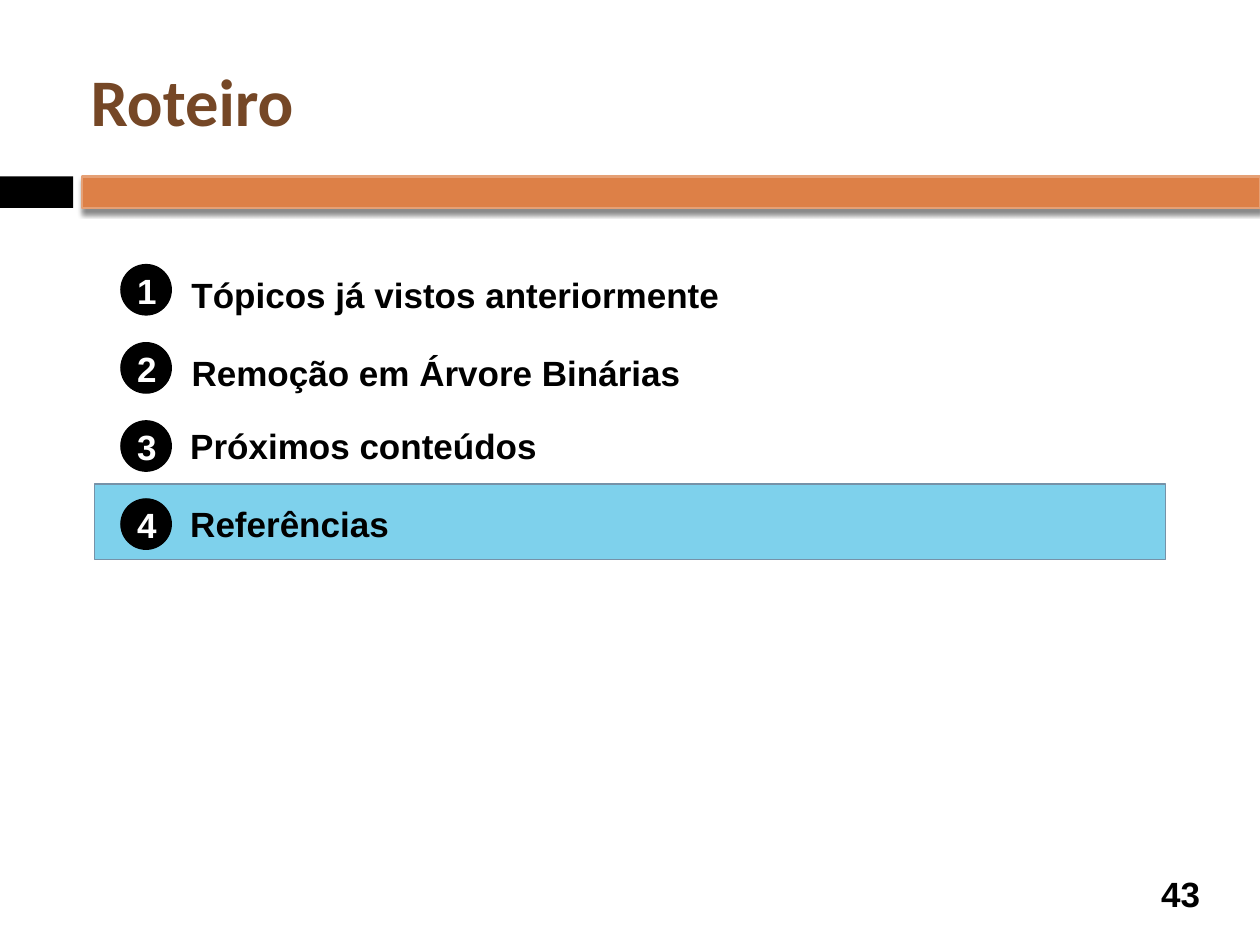
from lxml import etree
from pptx import Presentation
from pptx import util as u
from pptx.dml.color import RGBColor
from pptx.enum import shapes, text
from pptx.oxml import ns

Inches = u.Inches
COLORS = {
    "black": "000000",
    "white": "FFFFFF",
    "orange": "DD8047",
    "orange_edge": "E5A075",
    "brown": "754726",
    "highlight": "7ED1EC",
    "highlight_edge": "7692A8",
}
KIND = shapes.MSO_SHAPE
ALIGN = text.PP_ALIGN
ANCHOR = text.MSO_ANCHOR


def add_box(parent, kind, box, fill, line=None, width=0.75):
    shape = parent.add_shape(kind, *map(Inches, box))
    shape.shadow.inherit = False
    shape.fill.solid()
    shape.fill.fore_color.rgb = RGBColor.from_string(COLORS[fill])
    if line:
        shape.line.color.rgb = RGBColor.from_string(COLORS[line])
        shape.line.width = u.Pt(width)
    else:
        shape.line.fill.background()
    return shape


def add_label(parent, box, words, color="black", size=20, font="Arial",
              align=ALIGN.LEFT, anchor=ANCHOR.MIDDLE, wrap=False):
    label = parent.add_textbox(*map(Inches, box))
    frame = label.text_frame
    frame.word_wrap = wrap
    frame.vertical_anchor = anchor
    frame.margin_left = frame.margin_right = Inches(0.05)
    frame.margin_top = frame.margin_bottom = Inches(0.05)
    paragraph = frame.paragraphs[0]
    paragraph.alignment = align
    run = paragraph.add_run()
    run.text = words
    run.font.name = font
    run.font.size = u.Pt(size)
    run.font.bold = True
    run.font.color.rgb = RGBColor.from_string(COLORS[color])


presentation = Presentation()
presentation.slide_width = Inches(10)
presentation.slide_height = Inches(7.5)
slide = presentation.slides.add_slide(presentation.slide_layouts[6])

add_box(slide.shapes, KIND.RECTANGLE, (0, 1.4, 0.58, 0.25), "black")
banner = add_box(slide.shapes, KIND.RECTANGLE, (0.65, 1.4, 9.35, 0.25),
                 "orange", "orange_edge", 1.5)
effects = banner._element.spPr.find(ns.qn("a:effectLst"))
shadow = etree.SubElement(effects, ns.qn("a:outerShdw"), blurRad=str(u.Pt(3)),
                          dist=str(u.Pt(2.4)), dir="5400000", rotWithShape="0")
shade = etree.SubElement(shadow, ns.qn("a:srgbClr"), val=COLORS["black"])
etree.SubElement(shade, ns.qn("a:alpha"), val="45000")

add_label(slide.shapes, (9.08, 6.89, 0.58, 0.41), "43", align=ALIGN.CENTER, wrap=True)
add_label(slide.shapes, (0.67, 0.25, 8.92, 1.08), "Roteiro", "brown", 38, "Calibri",
          wrap=True)

highlight = add_box(slide.shapes, KIND.ROUNDED_RECTANGLE, (0.75, 3.84, 8.5, 0.6),
                    "highlight", "highlight_edge", 0.79)
highlight.adjustments[0] = 0

topics = [
    ("Tópicos já vistos anteriormente", 1.47, 2.12, 4.3),
    ("Remoção em Árvore Binárias", 1.47, 2.74, 3.99),
    ("Próximos conteúdos", 1.46, 3.32, 2.86),
    ("Referências", 1.46, 3.94, 1.69),
]
for index, (topic, left, top, width) in enumerate(topics):
    badge_top = 2.1 + 0.62 * index
    badge = slide.shapes.add_group_shape()
    add_box(badge.shapes, KIND.OVAL, (0.96, badge_top, 0.4, 0.4), "black", "black")
    add_label(badge.shapes, (1.03, badge_top, 0.27, 0.41), str(index + 1), "white",
              align=ALIGN.CENTER)
    add_label(slide.shapes, (left, top, width, 0.41), topic, anchor=ANCHOR.TOP)

presentation.save("out.pptx")
